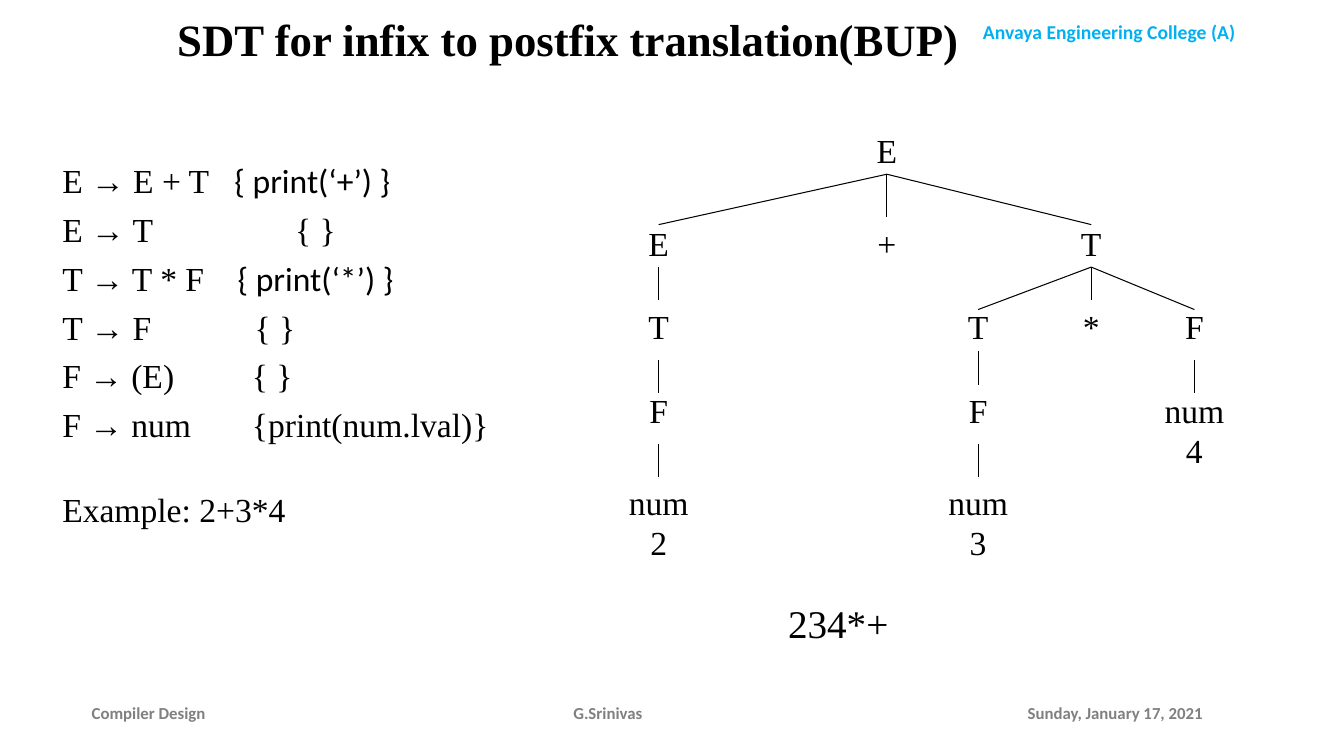
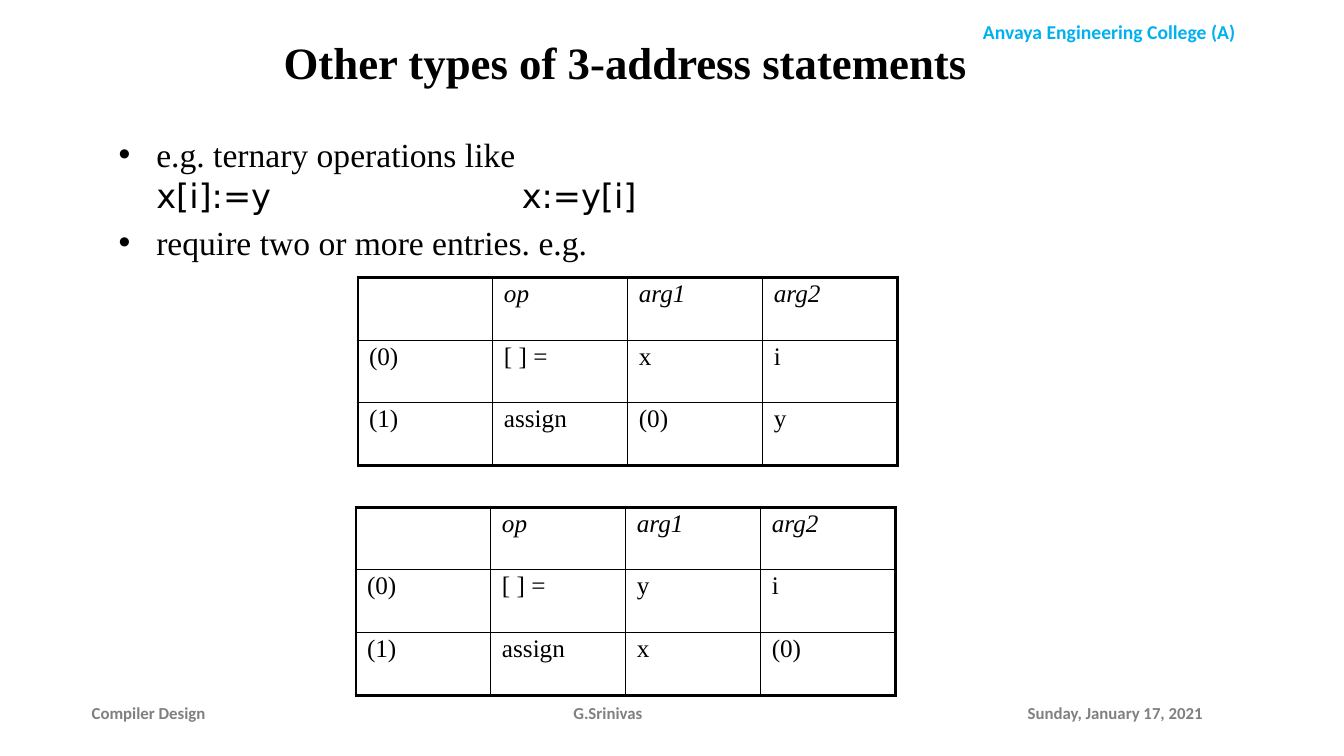
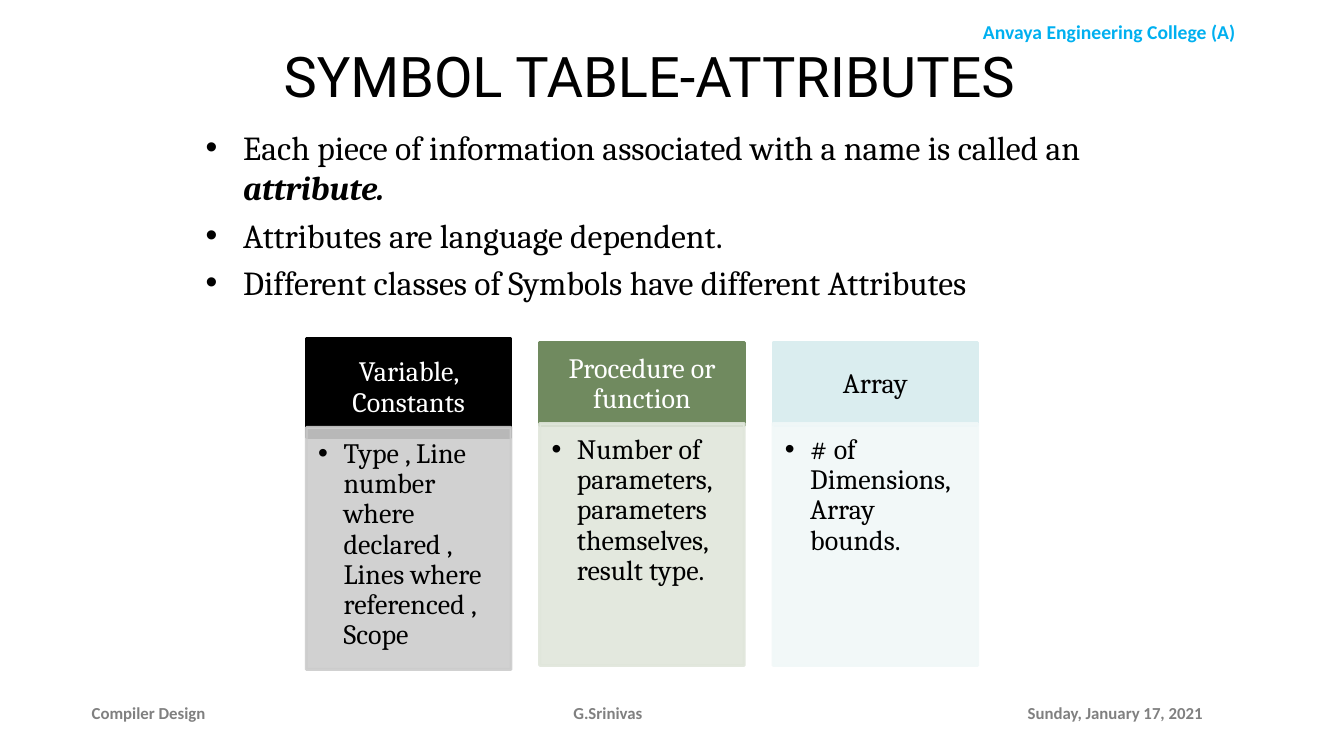
import pptx
import pptx.util
import pptx.dml.color
import pptx.enum.text
import pptx.enum.shapes
import pptx.oxml
import pptx.oxml.ns

Cm, Pt = pptx.util.Cm, pptx.util.Pt
RGBColor = pptx.dml.color.RGBColor
ALIGN = pptx.enum.text.PP_ALIGN
ANCHOR = pptx.enum.text.MSO_ANCHOR
qn = pptx.oxml.ns.qn

BLACK = RGBColor(0, 0, 0)
WHITE = RGBColor(255, 255, 255)
SKY = RGBColor(0x00, 0xB0, 0xF0)
GREY = RGBColor(0x80, 0x80, 0x80)
SILVER = RGBColor(0xCC, 0xCC, 0xCC)
GREEN = RGBColor(0x70, 0x8A, 0x5F)
SAGE = RGBColor(0xE0, 0xE6, 0xDB)
AQUA = RGBColor(0xDA, 0xED, 0xEF)
MIST = RGBColor(0xF1, 0xF8, 0xF8)

SERIF, SANS, BOOK = "Times New Roman", "Calibri", "Cambria"
HANG = 0.95


def add(parent, tag, **attrs):
    """Append a DrawingML child with the given attributes."""
    child = parent.makeelement(qn(tag), {key: str(val) for key, val in attrs.items()})
    parent.append(child)
    return child


def write(frame, paras, font=SERIF, size=24, color=BLACK, bold=False, ital=False,
          align=ALIGN.LEFT, anchor=ANCHOR.TOP, pad=(0.25, 0.13, 0.25, 0.13),
          before=0, line=None, hang=0, tabs=()):
    """Fill a text frame; a paragraph is a string or a list of runs."""
    frame.word_wrap = True
    frame.vertical_anchor = anchor
    (frame.margin_left, frame.margin_top,
     frame.margin_right, frame.margin_bottom) = map(Cm, pad)
    for num, runs in enumerate(paras):
        para = frame.add_paragraph() if num else frame.paragraphs[0]
        para.alignment = align
        para.space_before = Pt(before)
        if line:
            para.line_spacing = line
        props = para._p.get_or_add_pPr()
        if hang:
            props.set("marL", str(Cm(hang)))
            props.set("indent", str(-Cm(hang)))
            add(props, "a:buFont", typeface="Arial")
            add(props, "a:buChar", char="•")
        if tabs:
            stops = add(props, "a:tabLst")
            add(stops, "a:tab", pos=Cm(tabs[num]), algn="l")
        for part in [runs] if isinstance(runs, str) else runs:
            if part == "\n":
                para.add_line_break()
                continue
            text, own = (part, {}) if isinstance(part, str) else part
            run = para.add_run()
            run.text = text
            run.font.name = own.get("font", font)
            run.font.size = Pt(size)
            run.font.bold = own.get("bold", bold)
            run.font.italic = own.get("ital", ital)
            run.font.color.rgb = color


def put(page, box, *paras, **style):
    """Place a text box and write its paragraphs."""
    shape = page.shapes.add_textbox(*map(Cm, box))
    write(shape.text_frame, paras, **style)


def block(page, box, paint, clear=None, **style):
    """Place a filled rectangle and return its text frame."""
    shape = page.shapes.add_shape(pptx.enum.shapes.MSO_SHAPE.RECTANGLE, *map(Cm, box))
    shape.shadow.inherit = False
    shape.fill.solid()
    shape.fill.fore_color.rgb = paint
    shape.line.color.rgb = paint
    shape.line.width = Pt(2)
    if clear:
        for tint in shape.element.spPr.iter(qn("a:srgbClr")):
            add(tint, "a:alpha", val=clear * 1000)
    return shape.text_frame


def link(page, start, end):
    """Draw a thin black line between two points."""
    line = page.shapes.add_connector(
        pptx.enum.shapes.MSO_CONNECTOR.STRAIGHT, *map(Cm, start + end))
    line.line.color.rgb = BLACK
    line.line.width = Pt(0.75)
    add(line.element.spPr, "a:effectLst")


def sheet(deck, title, box, **style):
    """Add a blank slide with the shared header, footer and title."""
    page = deck.slides.add_slide(deck.slide_layouts[6])
    put(page, (23.09, 0.36, 9.73, 0.86), "Anvaya Engineering College (A)",
        font=SANS, size=14, color=SKY, bold=True, align=ALIGN.CENTER)
    for left, wide, text, align in (
            (2.06, 5.36, "Compiler Design", ALIGN.LEFT),
            (11.51, 7.62, "G.Srinivas", ALIGN.CENTER),
            (25.65, 5.84, "Sunday, January 17, 2021", ALIGN.LEFT)):
        put(page, (left, 17.46, wide, 1.02), text, font=SANS, size=12, color=GREY,
            bold=True, align=align, anchor=ANCHOR.MIDDLE)
    look = dict(size=32, bold=True, align=ALIGN.CENTER, anchor=ANCHOR.MIDDLE)
    put(page, box, title, **{**look, **style})
    return page


def rules(page, box):
    """List the grammar rules with their actions."""
    left, top, wide, high = box
    calib = {"font": SANS}
    put(page, (left, top, wide, high - 3),
        ["E → E + T\t", ("{ print(‘+’) }", calib)],
        "E → T\t{ }",
        ["T → T * F\t", ("{ print(‘*’) }", calib)],
        "T → F\t{ }",
        "F → (E)\t{ }",
        "F → num\t{print(num.lval)}",
        before=6, tabs=(4.34, 5.87, 4.42, 4.85, 4.78, 4.78))
    put(page, (left, top + 8.29, wide, 1.5), "Example: 2+3*4", before=6)


def tree(page, box):
    """Draw the parse tree of the example."""
    left, top = box[:2]
    cols = dict(a=1.35, b=7.1, c=9.4, d=12.25, e=14.85)
    rows = (0.67, 3.01, 5.12, 7.23, 9.54)
    for text, col, row in (
            ("E", "b", 0), ("E", "a", 1), ("+", "b", 1), ("T", "d", 1),
            ("T", "a", 2), ("T", "c", 2), ("*", "d", 2), ("F", "e", 2),
            ("F", "a", 3), ("F", "c", 3), ("num 4", "e", 3),
            ("num 2", "a", 4), ("num 3", "c", 4)):
        lines = text.split()
        put(page, (left + cols[col] - 1, top + rows[row] - 0.5, 2, len(lines)),
            *lines, align=ALIGN.CENTER, pad=(0, 0, 0, 0))
    for start, high, ends in (
            ("b", 1.29, (("a", 2.56), ("b", 2.36), ("d", 2.56))),
            ("d", 3.63, (("c", 4.7), ("d", 4.47), ("e", 4.7))),
            ("a", 3.63, (("a", 4.47),)), ("a", 5.97, (("a", 6.81),)),
            ("a", 8.08, (("a", 8.91),)), ("c", 5.74, (("c", 6.6),)),
            ("c", 8.08, (("c", 8.91),)), ("e", 5.97, (("e", 6.81),))):
        for end, low in ends:
            link(page, (left + cols[start], top + high), (left + cols[end], top + low))


def grid(page, box, rows):
    """Place a ruled table with a heavy outer frame."""
    tall, wide = len(rows), len(rows[0])
    table = page.shapes.add_table(tall, wide, *map(Cm, box)).table
    table.first_row = table.horz_banding = False
    for y, row in enumerate(rows):
        for x, text in enumerate(row):
            cell = table.cell(y, x)
            write(cell.text_frame, [text], size=18, ital=y == 0, before=2, line=0.89)
            cell.margin_left = cell.margin_right = Cm(0.28)
            cell.margin_top = cell.margin_bottom = Cm(0.13)
            props = cell._tc.get_or_add_tcPr()
            for side, edge in (("L", x == 0), ("R", x == wide - 1),
                               ("T", y == 0), ("B", y == tall - 1)):
                rule = add(props, "a:ln" + side, w=Pt(2.25 if edge else 1))
                add(add(rule, "a:solidFill"), "a:srgbClr", val=BLACK)
            cell.fill.background()


def card(page, box, drop, cap, note, paint, tint, ink):
    """Stack a heading block and a tinted body block."""
    left, top, wide, high = box
    head = block(page, box, paint)
    write(head, [cap], font=BOOK, size=20, color=ink, align=ALIGN.CENTER,
          anchor=ANCHOR.MIDDLE, pad=(0.4, 0.23, 0.4, 0.23), line=0.9)
    body = block(page, (left, top + drop, wide, 6.1), tint, clear=90)
    write(body, [note], font=BOOK, size=20, pad=(0.3, 0.3, 0.4, 0.43),
          line=0.9, hang=0.64)


def infix(deck):
    """Build the translation slide."""
    page = sheet(deck, "SDT for infix to postfix translation(BUP)",
                 (1.3, -0.3, 26.04, 2.54))
    rules(page, (1.32, 3.91, 11.81, 11.02))
    tree(page, (15.25, 3.1, 16, 11.2))
    put(page, (19.61, 14.96, 4.57, 1.73), "234*+", size=28, before=6)


def triples(deck):
    """Build the slide on three-address statements."""
    page = sheet(deck, "Other types of 3-address statements", (2.74, 0.28, 26.04, 2.54))
    put(page, (2.74, 3.25, 26.04, 3.6),
        ["e.g. ternary operations like", "\n",
         ("x[i]:=y\tx:=y[i]", {"font": "DejaVu Sans"})],
        "require two or more entries. e.g.",
        before=5, hang=HANG, tabs=(10.16, 10.16))
    head = ("", "op", "arg1", "arg2")
    for left, top, first, last in (
            (9.02, 6.99, "x", ("(0)", "y")),
            (8.97, 12.78, "y", ("x", "(0)"))):
        grid(page, (left, top, 13.6, 4.74),
             (head, ("(0)", "[ ] =", first, "i"), ("(1)", "assign") + last))


def symbols(deck):
    """Build the slide on symbol attributes."""
    page = sheet(deck, "SYMBOL TABLE-ATTRIBUTES", (4.93, 0.3, 22.86, 3.18),
                 font="Roboto", size=40, bold=False)
    put(page, (4.93, 3.07, 22.86, 5),
        ["Each piece of information associated with a name is called an ",
         ("attribute.", {"bold": True, "ital": True})],
        "Attributes are language dependent.",
        "Different classes of Symbols have different Attributes",
        font=BOOK, before=5, hang=HANG)
    cards = (
        (8.53, 2.49, 2.24, "Variable, Constants",
         "Type , Line number where declared , Lines where referenced , Scope",
         BLACK, SILVER, WHITE),
        (8.64, 2.08, 2.03, "Procedure or function",
         "Number of parameters, parameters themselves, result type.",
         GREEN, SAGE, WHITE),
        (8.64, 2.08, 2.03, "Array", "# of Dimensions, Array bounds.",
         AQUA, MIST, BLACK))
    for num, (top, high, *rest) in enumerate(cards):
        card(page, (7.72 + 5.88 * num, top, 5.16, high), *rest)


def main():
    """Build and save the deck."""
    deck = pptx.Presentation()
    deck.slide_width, deck.slide_height = Cm(33.87), Cm(19.05)
    for build in (infix, triples, symbols):
        build(deck)
    deck.save("out.pptx")


main()
